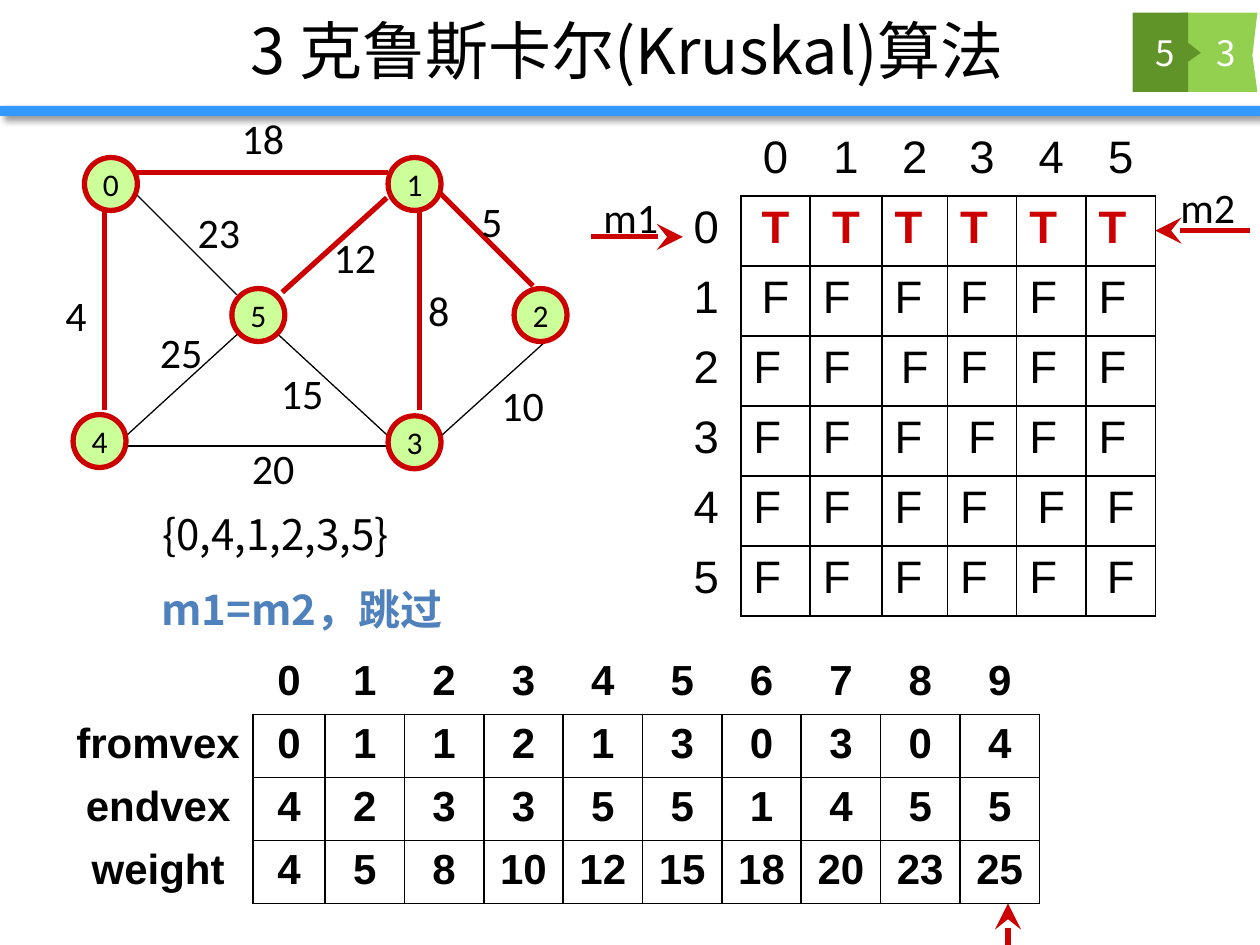
import pptx
import pptx.dml.color
import pptx.enum.dml
import pptx.enum.shapes
import pptx.enum.text
import pptx.oxml
import pptx.oxml.ns
import pptx.util
from lxml import etree
from pptx.util import Inches

RGBColor = pptx.dml.color.RGBColor
BLACK = RGBColor(0x00, 0x00, 0x00)
WHITE = RGBColor(0xFF, 0xFF, 0xFF)
RED = RGBColor(0xCC, 0x00, 0x00)
BLUE = RGBColor(0x4F, 0x81, 0xBD)
BAR_BLUE = RGBColor(0x33, 0x99, 0xFF)
LIGHT_GREEN = RGBColor(0x93, 0xD0, 0x50)
DARK_GREEN = RGBColor(0x61, 0x94, 0x28)
NODE_GREEN = RGBColor(0xCC, 0xFF, 0x99)

CJK = "Noto Sans CJK SC"
LEFT = pptx.enum.text.PP_ALIGN.LEFT
CENTER = pptx.enum.text.PP_ALIGN.CENTER
MIDDLE = pptx.enum.text.MSO_ANCHOR.MIDDLE
SHAPES = pptx.enum.shapes.MSO_SHAPE
qn = pptx.oxml.ns.qn


def write(frame, text, size, font, color=BLACK, bold=False, align=LEFT):
    para = frame.paragraphs[0]
    para.add_run().text = text
    para.alignment = align
    para.font.size = pptx.util.Pt(size)
    para.font.name = font
    para.font.bold = bold
    para.font.color.rgb = color
    if font == CJK:
        defaults = para._p.pPr.find(qn("a:defRPr"))
        etree.SubElement(defaults, qn("a:ea")).set("typeface", font)


def add_line(start, stop, color, width, arrow=False):
    line = page.shapes.add_connector(
        pptx.enum.shapes.MSO_CONNECTOR.STRAIGHT,
        *(Inches(value) for value in (*start, *stop)))
    line.line.color.rgb = color
    line.line.width = pptx.util.Pt(width)
    if arrow:
        outline = line.line._get_or_add_ln()
        etree.SubElement(outline, qn("a:tailEnd"), type="stealth", w="lg", len="lg")
    etree.SubElement(line._element.spPr, qn("a:effectLst"))


deck = pptx.Presentation()
deck.slide_width, deck.slide_height = Inches(10), Inches(7.5)
page = deck.slides.add_slide(deck.slide_layouts[5])

# Header: bar with shadow, title, page badge
bar = page.shapes.add_shape(SHAPES.RECTANGLE, Inches(0), Inches(0.84), Inches(10), Inches(0.08))
bar.fill.solid()
bar.fill.fore_color.rgb = BAR_BLUE
bar.line.fill.background()
bar._element.spPr.append(pptx.oxml.parse_xml(
    '<a:effectLst xmlns:a="http://schemas.openxmlformats.org/drawingml/2006/main">'
    '<a:outerShdw blurRad="50800" dist="38100" dir="2700000" algn="tl" rotWithShape="0">'
    '<a:srgbClr val="000000"><a:alpha val="40000"/></a:srgbClr>'
    '</a:outerShdw></a:effectLst>'))

title = page.shapes.title
title.left, title.top, title.width, title.height = Inches(0.98), Inches(0.01), Inches(7.99), Inches(0.77)
title.text_frame.vertical_anchor = MIDDLE
write(title.text_frame, "3 克鲁斯卡尔(Kruskal)算法", 36, CJK, align=CENTER)

badge_parts = [
    (LIGHT_GREEN, [(9.38, 0.1), (9.98, 0.1), (9.94, 0.44), (9.98, 0.73), (9.38, 0.73)]),
    (DARK_GREEN, [(8.99, 0.1), (9.43, 0.1), (9.43, 0.34), (9.53, 0.42),
                  (9.43, 0.49), (9.43, 0.73), (8.99, 0.73)]),
]
for color, corners in badge_parts:
    points = [(Inches(x), Inches(y)) for x, y in corners]
    builder = page.shapes.build_freeform(*points[0], scale=1.0)
    builder.add_line_segments(points[1:], close=True)
    part = builder.convert_to_shape()
    part.shadow.inherit = False
    part.fill.solid()
    part.fill.fore_color.rgb = color
    part.line.fill.background()
for text, left in [("3", 9.42), ("5", 8.94)]:
    box = page.shapes.add_textbox(Inches(left), Inches(0.1), Inches(0.62), Inches(0.63))
    box.text_frame.word_wrap = True
    box.text_frame.vertical_anchor = MIDDLE
    write(box.text_frame, text, 20, CJK, WHITE, align=CENTER)

# Graph edges by weight: from, end, weight, line start, line stop, label corner, in tree
edges = [
    (0, 4, 4, (0.83, 1.67), (0.83, 3.25), (0.42, 2.25), True),
    (1, 2, 5, (3.48, 1.52), (4.23, 2.27), (3.72, 1.5), True),
    (1, 3, 8, (3.33, 1.67), (3.33, 3.25), (3.3, 2.21), True),
    (2, 3, 10, (4.33, 2.71), (3.5, 3.46), (3.88, 2.96), False),
    (1, 5, 12, (3.07, 1.57), (2.24, 2.32), (2.55, 1.79), True),
    (3, 5, 15, (3.08, 3.46), (2.17, 2.62), (2.13, 2.87), False),
    (0, 1, 18, (1.08, 1.37), (3.08, 1.37), (1.82, 0.84), True),
    (3, 4, 20, (3.08, 3.54), (1, 3.54), (1.9, 3.46), False),
    (0, 5, 23, (1.08, 1.54), (1.88, 2.34), (1.47, 1.59), False),
    (4, 5, 25, (1, 3.46), (1.92, 2.62), (1.17, 2.54), False),
]
for _, _, _, start, stop, _, in_tree in edges:
    add_line(start, stop, RED if in_tree else BLACK, 3 if in_tree else 0.75)

nodes = [(0.67, 1.25), (3.08, 1.25), (4.08, 2.29), (3.08, 3.3), (0.58, 3.29), (1.84, 2.29)]
for number, (left, top) in enumerate(nodes):
    node = page.shapes.add_shape(SHAPES.OVAL, Inches(left), Inches(top), Inches(0.42), Inches(0.42))
    node.shadow.inherit = False
    node.fill.solid()
    node.fill.fore_color.rgb = NODE_GREEN
    node.line.color.rgb = RED
    node.line.width = pptx.util.Pt(3)
    node.text_frame.word_wrap = False
    node.text_frame.vertical_anchor = MIDDLE
    write(node.text_frame, str(number), 18, "Calibri", align=CENTER)

# Tables: the first row and first column are labels outside the ruled grid
flags = [["", *"012345"], ["0", *"TTTTTT"]] + [[str(row), *"FFFFFF"] for row in range(1, 6)]
centred_flags = {(1, 1), (1, 2), (2, 1), (3, 3), (4, 4), (5, 5), (5, 6), (6, 6)}
edge_rows = [["", *range(10)]]
for position, name in enumerate(["fromvex", "endvex", "weight"]):
    edge_rows.append([name] + [edge[position] for edge in edges])

tables = [
    (edge_rows, (0.5, 5.17, 7.75, 2), [1.51, 0.57] + [0.63] * 9, 24),
    (flags, (5.33, 1, 3.83, 3.89), [0.55, 0.55, 0.57, 0.52, 0.55, 0.55, 0.55], 26),
]
for rows, place, widths, size in tables:
    is_flags = rows is flags
    table = page.shapes.add_table(
        len(rows), len(widths), *(Inches(value) for value in place)).table
    table.first_row = table.horz_banding = False
    for column, width in zip(table.columns, widths):
        column.width = Inches(width)
    for r, values in enumerate(rows):
        for c, value in enumerate(values):
            cell = table.cell(r, c)
            if not is_flags:
                cell.margin_left = cell.margin_right = Inches(0.05)
            inside = r > 0 and c > 0
            ruled = {"a:lnL": inside, "a:lnR": r > 0, "a:lnT": inside, "a:lnB": c > 0}
            for side, shown in ruled.items():
                border = etree.SubElement(cell._tc.get_or_add_tcPr(), qn(side), w="12700")
                if shown:
                    fill = etree.SubElement(border, qn("a:solidFill"))
                    etree.SubElement(fill, qn("a:srgbClr"), val=str(BLACK))
                else:
                    etree.SubElement(border, qn("a:noFill"))
            cell.fill.background()
            is_true = value == "T"
            is_left = is_flags and inside and (r, c) not in centred_flags
            write(cell.text_frame, str(value), size, "Arial", RED if is_true else BLACK,
                  is_true or not is_flags, LEFT if is_left else CENTER)

# Pointers and free labels
for start, stop in [((8, 7.59), (8, 7.17)), ((4.69, 1.88), (5.42, 1.88)), ((9.92, 1.83), (9.17, 1.83))]:
    add_line(start, stop, RED, 3, arrow=True)

labels = [(str(edge[2]), edge[5], 0.37 if edge[2] < 10 else 0.55, "Calibri", BLACK) for edge in edges]
labels += [
    ("m1", (4.69, 1.47), 0.65, "Calibri", BLACK),
    ("m2", (9.27, 1.39), 0.65, "Calibri", BLACK),
    ("{0,4,1,2,3,5}", (1.19, 3.99), 2.02, CJK, BLACK),
    ("m1=m2，跳过", (1.18, 4.58), 2.54, CJK, BLUE),
]
for text, (left, top), width, font, color in labels:
    box = page.shapes.add_textbox(Inches(left), Inches(top), Inches(width), Inches(0.5))
    box.text_frame.word_wrap = False
    box.text_frame.margin_right = Inches(0.05)
    box.text_frame.auto_size = pptx.enum.text.MSO_AUTO_SIZE.SHAPE_TO_FIT_TEXT
    write(box.text_frame, text, 24, font, color, bold=color == BLUE)

deck.save("out.pptx")
